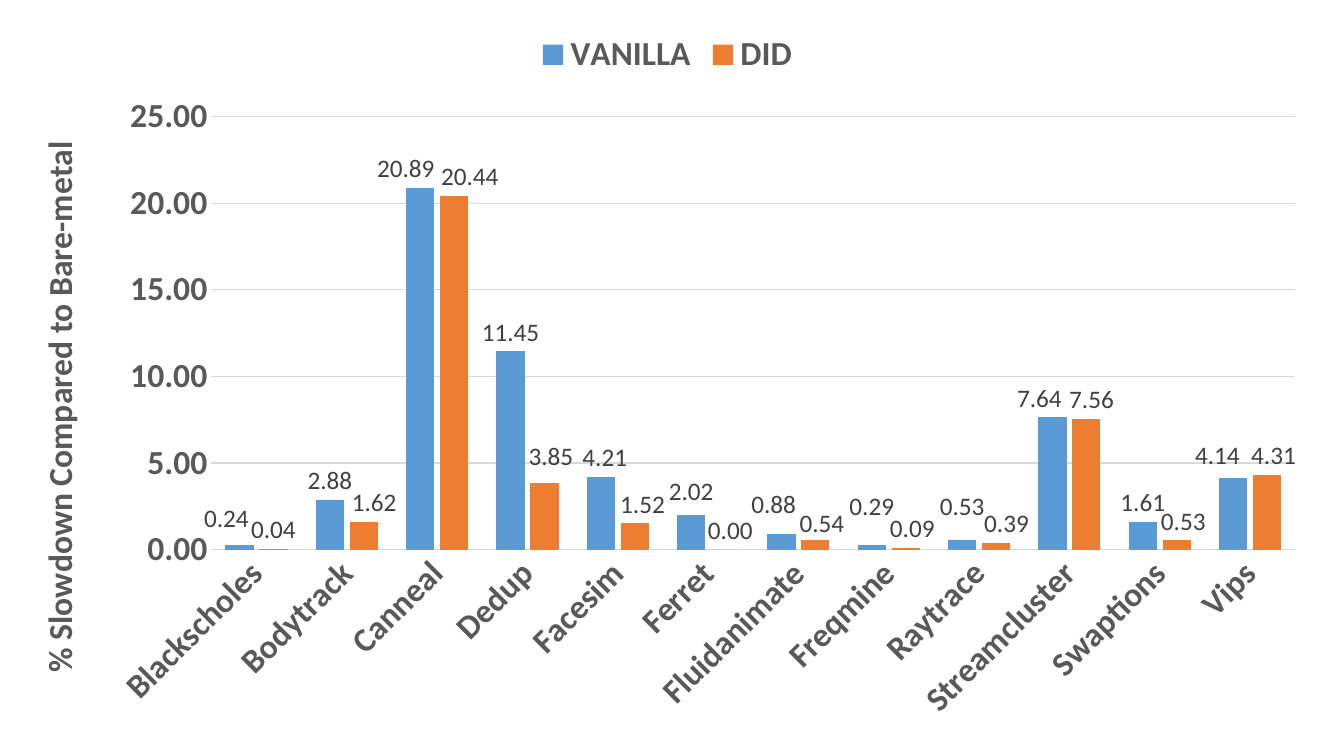
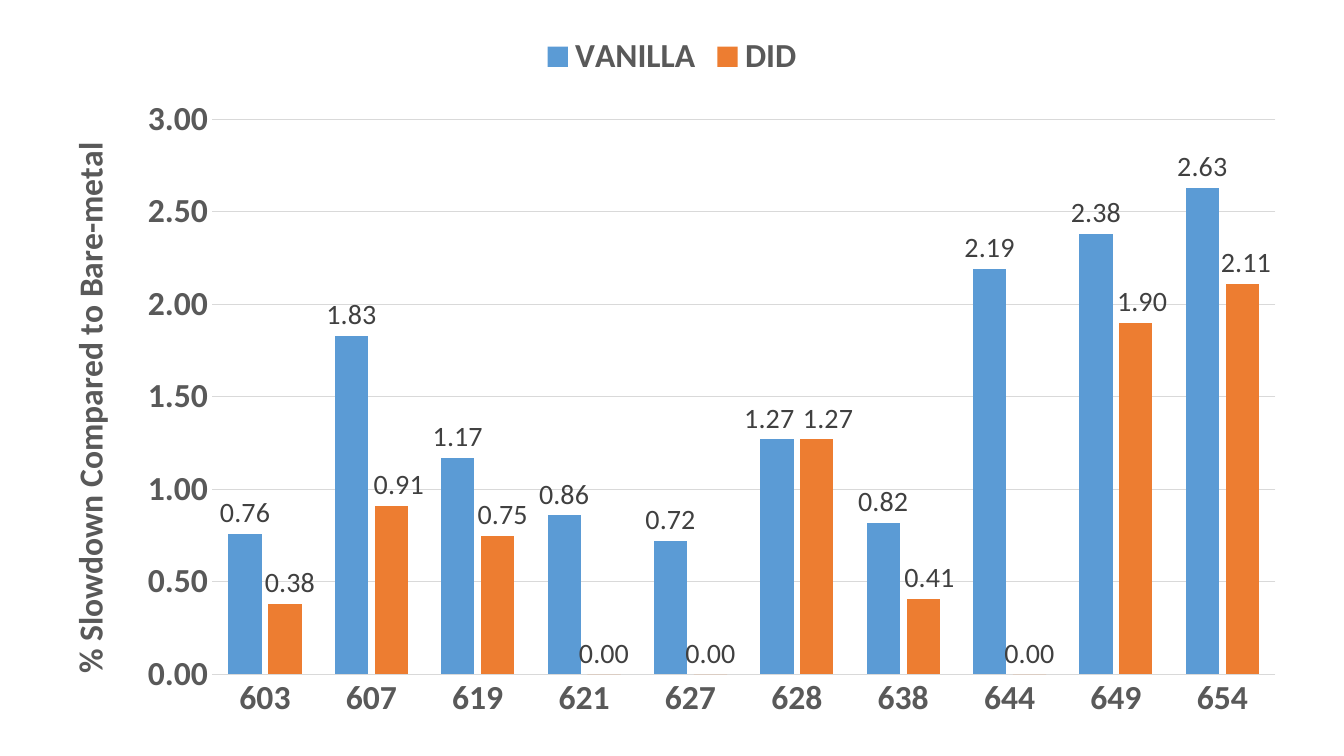
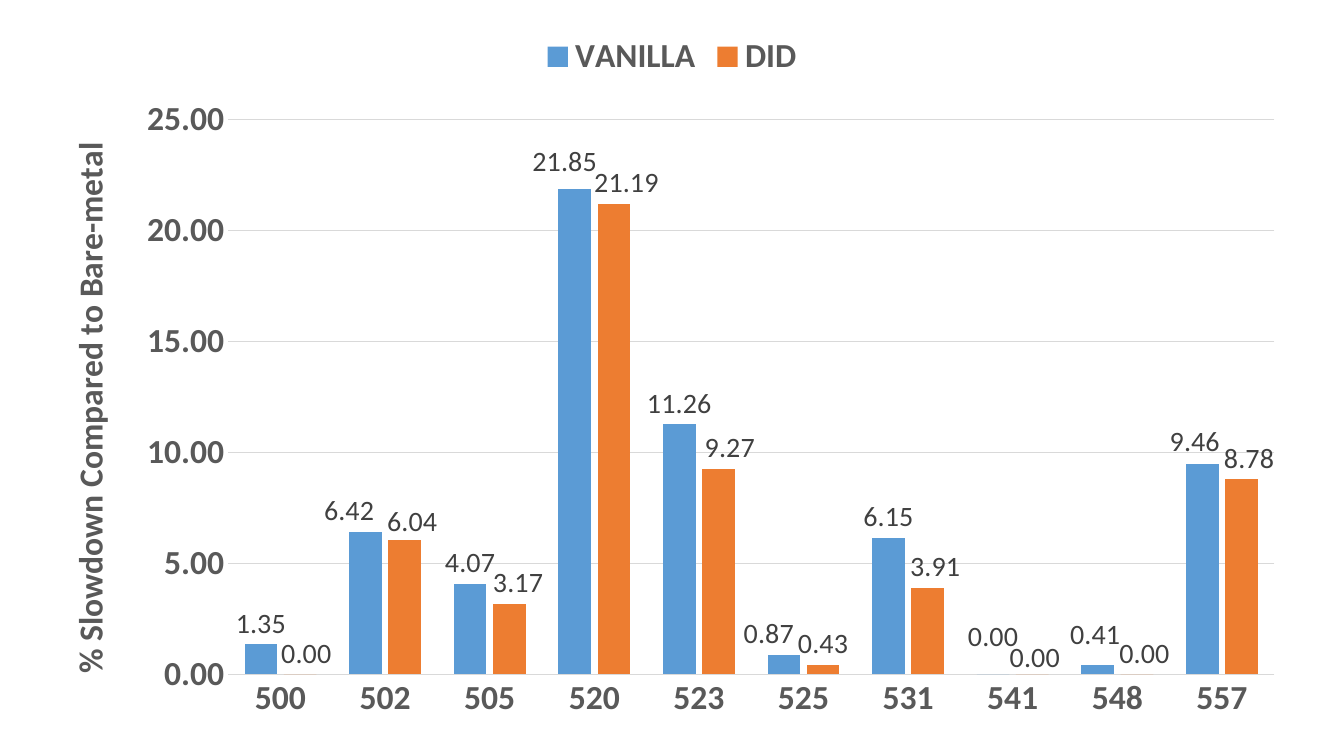
from dataclasses import dataclass

from lxml import etree
from pptx import Presentation
from pptx import util as u
from pptx.chart.data import CategoryChartData
from pptx.dml.color import RGBColor
from pptx.enum import chart as c
from pptx.oxml.ns import qn

SLIDE_WIDTH, SLIDE_HEIGHT = u.Inches(13.33), u.Inches(7.5)
FONT = "Calibri"
AXIS_TEXT, LABEL_TEXT, RULE = "595959", "404040", "D9D9D9"
SERIES_COLORS = {"VANILLA": "5B9BD5", "DID": "ED7D31"}
AXIS_TITLE = "% Slowdown Compared to Bare-metal"
AXIS_SIZE = 24
NUMBER_FORMAT = "0.00"
TITLE_CORNER = (1.4, 16.1)
NUMBERED_BOX = (3.23, 2.93, 93.55, 94)
LEADER_NAMESPACE = "http://schemas.microsoft.com/office/drawing/2012/chart"
LEADER_EXTENSION = "{CE6537A1-D6FC-4f65-9D91-7224C49458BB}"


@dataclass
class Benchmark:
    """The box is in percent of the slide; plot and nudges in percent of the chart."""
    box: tuple
    plot: tuple
    categories: list
    values: dict
    nudges: dict
    maximum: float
    step: float
    label_size: int = 20
    category_angle: int = 0


BENCHMARKS = [
    Benchmark(
        box=(0.9, 2.67, 97.52, 94.53),
        plot=(15.2, 13.5, 82.7, 60.6),
        categories=["Blackscholes", "Bodytrack", "Canneal", "Dedup", "Facesim", "Ferret",
                    "Fluidanimate", "Freqmine", "Raytrace", "Streamcluster", "Swaptions", "Vips"],
        values={
            "VANILLA": [0.24, 2.88, 20.89, 11.45, 4.21, 2.02, 0.88, 0.29, 0.53, 7.64, 1.61, 4.14],
            "DID": [0.04, 1.62, 20.44, 3.85, 1.52, 0, 0.54, 0.09, 0.39, 7.56, 0.53, 4.31],
        },
        nudges={
            "VANILLA": {0: (-1, -1.1), 2: (-1.1, 0), 4: (0.3, 0), 5: (0, -0.6), 6: (-0.6, -1.5),
                        7: (0, -2.7), 8: (0, -2.1), 9: (-1, 0), 11: (-1.2, -0.4)},
            "DID": {1: (0.8, 0), 2: (1.2, 0), 3: (0.5, -1), 4: (0.6, 0), 5: (0.4, 0),
                    6: (0.5, 0.4), 7: (0.5, 0), 8: (0.8, 0), 9: (0.4, 0), 10: (0.5, 0),
                    11: (0.5, 0)},
        },
        maximum=25, step=5, label_size=18, category_angle=-45),
    Benchmark(
        box=NUMBERED_BOX,
        plot=(13.4, 13.7, 84.6, 78.1),
        categories=["603", "607", "619", "621", "627", "628", "638", "644", "649", "654"],
        values={
            "VANILLA": [0.76, 1.83, 1.17, 0.86, 0.72, 1.27, 0.82, 2.19, 2.38, 2.63],
            "DID": [0.38, 0.91, 0.75, 0, 0, 1.27, 0.41, 0, 1.90, 2.11],
        },
        nudges={
            "VANILLA": {5: (-0.6, 0)},
            "DID": {0: (0.4, 0), 1: (0.6, 0), 2: (0.4, 0), 5: (0.9, 0), 6: (0.5, 0),
                    8: (0.5, 0), 9: (0.3, 0)},
        },
        maximum=3, step=0.5),
    Benchmark(
        box=NUMBERED_BOX,
        plot=(14.7, 13.7, 83.2, 78.1),
        categories=["500", "502", "505", "520", "523", "525", "531", "541", "548", "557"],
        values={
            "VANILLA": [1.35, 6.42, 4.07, 21.85, 11.26, 0.87, 6.15, 0, 0.41, 9.46],
            "DID": [0, 6.04, 3.17, 21.19, 9.27, 0.43, 3.91, 0, 0, 8.78],
        },
        nudges={
            "VANILLA": {1: (-1.3, 0), 3: (-0.8, -1), 5: (-1.2, 0), 7: (0, -2.4),
                        8: (-0.2, -1.4), 9: (-0.6, -0.3)},
            "DID": {0: (0.5, 0), 1: (0.6, 0.3), 2: (0.7, 0), 3: (1, 0), 4: (0.9, 0),
                    6: (0.6, 0), 7: (0.2, 0.6), 8: (0.6, 0), 9: (0.6, 0)},
        },
        maximum=25, step=5),
]


def color(hex_string):
    return RGBColor.from_string(hex_string)


def style_font(font, size, hex_string, bold=False):
    font.name, font.size, font.bold = FONT, u.Pt(size), bold
    font.color.rgb = color(hex_string)


def style_line(line, hex_string):
    line.color.rgb = color(hex_string)
    line.width = u.Pt(0.75)


def set_layout(parent, index, percents, mode=None):
    """Give a chart part a manual layout; without a mode, x and y are offsets."""
    for old_layout in parent.findall(qn("c:layout")):
        parent.remove(old_layout)
    layout = etree.Element(qn("c:layout"))
    manual = etree.SubElement(layout, qn("c:manualLayout"))
    settings = []
    if mode == "inner":
        settings.append(("layoutTarget", "inner"))
    if mode:
        settings += [("xMode", "edge"), ("yMode", "edge")]
    settings += [(name, f"{percent / 100:.4f}") for name, percent in zip("xywh", percents)]
    for name, value in settings:
        etree.SubElement(manual, qn(f"c:{name}")).set("val", value)
    parent.insert(index, layout)


def rotate_text(element, degrees):
    body = next(element.iter(qn("a:bodyPr")))
    body.set("rot", str(degrees * 60000))
    body.set("vert", "horz")


def hide_leader_lines(labels_element):
    for leader_lines in labels_element.findall(qn("c:showLeaderLines")):
        leader_lines.set("val", "0")
    extensions = etree.SubElement(labels_element, qn("c:extLst"))
    extension = etree.SubElement(extensions, qn("c:ext"), uri=LEADER_EXTENSION)
    etree.SubElement(extension, f"{{{LEADER_NAMESPACE}}}showLeaderLines",
                     nsmap={"c15": LEADER_NAMESPACE}).set("val", "0")


def style_axes(chart, benchmark):
    category_axis, value_axis = chart.category_axis, chart.value_axis
    for axis in (category_axis, value_axis):
        axis.major_tick_mark = axis.minor_tick_mark = c.XL_TICK_MARK.NONE
        style_font(axis.tick_labels.font, AXIS_SIZE, AXIS_TEXT, bold=True)
    style_line(category_axis.format.line, RULE)
    if benchmark.category_angle:
        rotate_text(category_axis._element, benchmark.category_angle)

    value_axis.minimum_scale, value_axis.maximum_scale = 0, benchmark.maximum
    value_axis.major_unit = benchmark.step
    value_axis.format.line.fill.background()
    style_line(value_axis.major_gridlines.format.line, RULE)
    value_axis.tick_labels.number_format = NUMBER_FORMAT
    value_axis.tick_labels.number_format_is_linked = False

    title = value_axis.axis_title
    title.text_frame.text = AXIS_TITLE
    style_font(title.text_frame.paragraphs[0].runs[0].font, AXIS_SIZE, AXIS_TEXT, bold=True)
    rotate_text(title._element, -90)
    set_layout(title._element, 1, TITLE_CORNER, "edge")


def style_series(series, nudges, label_size):
    series.format.fill.solid()
    series.format.fill.fore_color.rgb = color(SERIES_COLORS[series.name])
    series.invert_if_negative = False
    labels = series.data_labels
    labels.show_value = True
    labels.number_format, labels.number_format_is_linked = NUMBER_FORMAT, False
    labels.position = c.XL_LABEL_POSITION.OUTSIDE_END
    style_font(labels.font, label_size, LABEL_TEXT)
    for index in nudges:
        label = series.points[index].data_label
        style_font(label.font, label_size, LABEL_TEXT)
        label.position = c.XL_LABEL_POSITION.OUTSIDE_END
    for element in labels._element.findall(qn("c:dLbl")):
        index = int(element.find(qn("c:idx")).get("val"))
        set_layout(element, 1, nudges[index])
    hide_leader_lines(labels._element)


def add_benchmark_chart(slide, benchmark):
    data = CategoryChartData(number_format=NUMBER_FORMAT)
    data.categories = benchmark.categories
    for name, values in benchmark.values.items():
        data.add_series(name, values)
    sizes = (SLIDE_WIDTH, SLIDE_HEIGHT) * 2
    box = [int(size * percent / 100) for size, percent in zip(sizes, benchmark.box)]
    chart = slide.shapes.add_chart(c.XL_CHART_TYPE.COLUMN_CLUSTERED, *box, data).chart
    chart.has_title = False
    chart.font.name = FONT

    chart.has_legend = True
    chart.legend.position = c.XL_LEGEND_POSITION.TOP
    chart.legend.include_in_layout = False
    style_font(chart.legend.font, AXIS_SIZE, AXIS_TEXT, bold=True)

    style_axes(chart, benchmark)
    plot = chart.plots[0]
    plot.gap_width, plot.overlap, plot.vary_by_categories = 100, -20, False
    for series in plot.series:
        style_series(series, benchmark.nudges[series.name], benchmark.label_size)
    plot_area = next(chart._chartSpace.iter(qn("c:plotArea")))
    set_layout(plot_area, 0, benchmark.plot, "inner")


def main():
    presentation = Presentation()
    presentation.slide_width, presentation.slide_height = SLIDE_WIDTH, SLIDE_HEIGHT
    blank = presentation.slide_layouts[6]
    for benchmark in BENCHMARKS:
        add_benchmark_chart(presentation.slides.add_slide(blank), benchmark)
    presentation.save("out.pptx")


if __name__ == "__main__":
    main()
